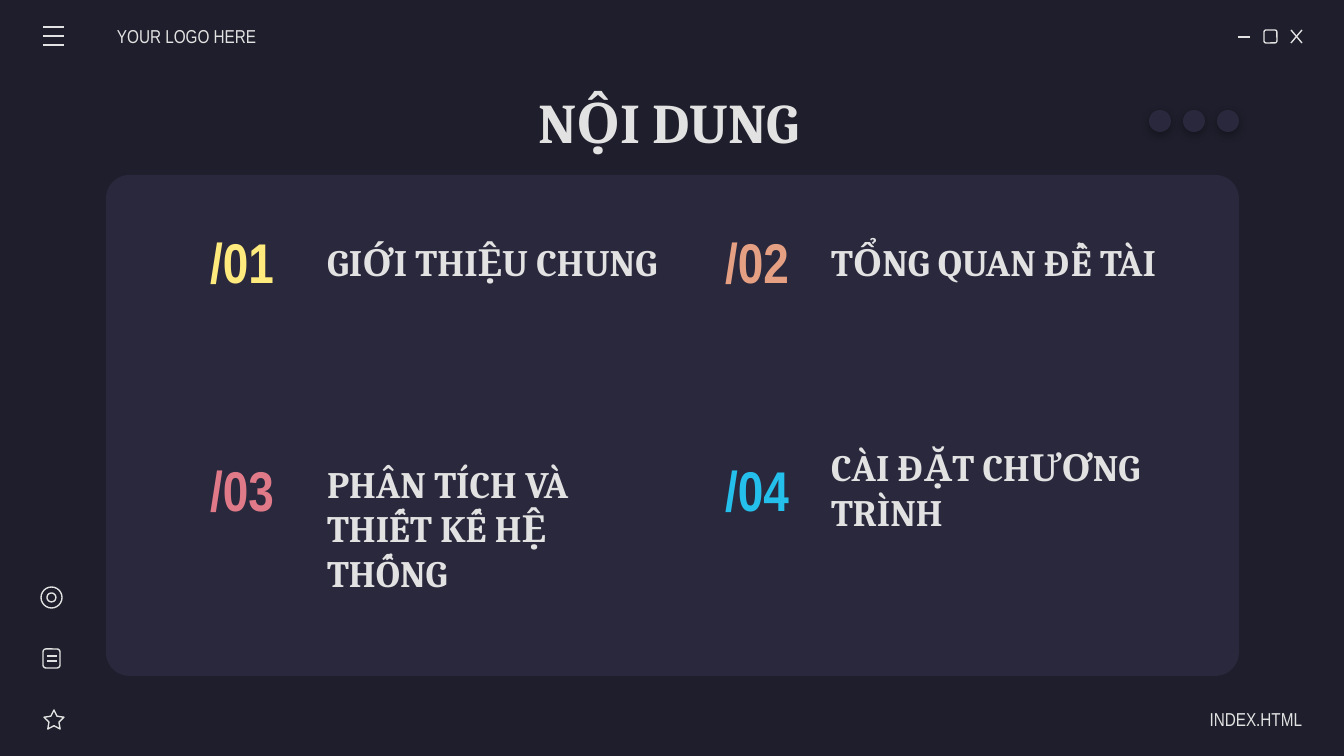
from dataclasses import dataclass

import pptx
import pptx.dml.color
import pptx.enum.shapes
import pptx.enum.text
import pptx.oxml
import pptx.oxml.ns
import pptx.util

SHAPE = pptx.enum.shapes.MSO_SHAPE
ALIGN = pptx.enum.text.PP_ALIGN
PX_PER_INCH = 134.4


def px(length):
    return pptx.util.Emu(round(length * 914400 / PX_PER_INCH))


@dataclass(frozen=True)
class Theme:
    background: str = "1E1E2C"
    surface: str = "29283D"
    ink: str = "E2E2E2"
    accents: tuple = ("FFEA7D", "E5A083", "E07A88", "24BFEB")
    heading_font: str = "Cambria"
    label_font: str = "Arial Narrow"
    title_size: int = 30
    item_size: int = 20
    label_size: int = 10
    stroke: float = 0.75


class Canvas:
    """Draws elements on one slide in one theme."""

    def __init__(self, slide, theme):
        self.slide = slide
        self.theme = theme
        slide.background.fill.solid()
        slide.background.fill.fore_color.rgb = self.rgb(theme.background)

    @staticmethod
    def rgb(value):
        return pptx.dml.color.RGBColor.from_string(value)

    def set_text(self, holder, text, font, size, color, bold=False,
                 align=ALIGN.LEFT, insets=(13, 13)):
        """Fill a text holder with one paragraph; insets are left and right."""
        frame = holder.text_frame
        frame.text = text
        frame.word_wrap = True
        frame.auto_size = pptx.enum.text.MSO_AUTO_SIZE.NONE
        frame.vertical_anchor = pptx.enum.text.MSO_ANCHOR.MIDDLE
        frame.margin_left, frame.margin_right = map(px, insets)
        frame.margin_top = frame.margin_bottom = px(13)
        paragraph = frame.paragraphs[0]
        paragraph.alignment = align
        paragraph.space_before = pptx.util.Pt(0)
        run_font = paragraph.runs[0].font
        run_font.name = font
        run_font.size = pptx.util.Pt(size)
        run_font.bold = bold
        run_font.color.rgb = self.rgb(color)
        return paragraph

    def placeholder(self, index, box, text, size, **style):
        holder = self.slide.placeholders[index]
        holder.left, holder.top, holder.width, holder.height = map(px, box)
        paragraph = self.set_text(holder, text, self.theme.heading_font, size,
                                  self.theme.ink, bold=True, **style)
        properties = paragraph._p.get_or_add_pPr()
        properties.set("marL", "0")
        properties.set("indent", "0")
        properties.append(pptx.oxml.parse_xml(
            f"<a:buNone {pptx.oxml.ns.nsdecls('a')}/>"))

    def label(self, box, text, size, color, **style):
        holder = self.slide.shapes.add_textbox(*map(px, box))
        self.set_text(holder, text, self.theme.label_font, size, color, **style)

    def filled(self, kind, box):
        shape = self.slide.shapes.add_shape(kind, *map(px, box))
        shape.shadow.inherit = False
        shape.fill.solid()
        shape.fill.fore_color.rgb = self.rgb(self.theme.surface)
        shape.line.fill.background()
        return shape

    def panel(self, box, rounding):
        shape = self.filled(SHAPE.ROUNDED_RECTANGLE, box)
        shape.adjustments[0] = rounding
        # The panel lies behind the placeholders.
        shape.element.getparent().insert(2, shape.element)

    def dot(self, box):
        """Draw a circle with a soft shadow below it."""
        effects = self.filled(SHAPE.OVAL, box).element.spPr.find(
            pptx.oxml.ns.qn("a:effectLst"))
        effects.append(pptx.oxml.parse_xml(
            f'<a:outerShdw {pptx.oxml.ns.nsdecls("a")} blurRad="57150" '
            'dist="19050" dir="5400000" algn="bl" rotWithShape="0">'
            '<a:srgbClr val="000000"><a:alpha val="30000"/></a:srgbClr>'
            '</a:outerShdw>'))

    def stroke(self, shape):
        shape.line.color.rgb = self.rgb(self.theme.ink)
        shape.line.width = pptx.util.Pt(self.theme.stroke)

    def outline(self, kind, box, *adjustments):
        shape = self.slide.shapes.add_shape(kind, *map(px, box))
        shape.shadow.inherit = False
        shape.fill.background()
        self.stroke(shape)
        for position, value in enumerate(adjustments):
            shape.adjustments[position] = value

    def line(self, *ends):
        """Draw a straight line; ends are x1, y1, x2, y2."""
        connector = self.slide.shapes.add_connector(
            pptx.enum.shapes.MSO_CONNECTOR.STRAIGHT, *map(px, ends))
        self.stroke(connector)
        connector.element.spPr.append(pptx.oxml.parse_xml(
            f"<a:effectLst {pptx.oxml.ns.nsdecls('a')}/>"))


def draw_agenda(canvas):
    theme = canvas.theme
    canvas.panel((106, 175, 1133, 501), 0.047)
    canvas.placeholder(0, (106, 79, 1133, 85), "NỘI DUNG", theme.title_size,
                       align=ALIGN.CENTER, insets=(13, 20))
    columns = ((181, 314), (696, 818))
    rows = (224, 452)
    topics = (("GIỚI THIỆU CHUNG", 358, 75),
              ("TỔNG QUAN ĐỀ TÀI", 364, 75),
              ("PHÂN TÍCH VÀ THIẾT KẾ HỆ THỐNG", 344, 152),
              ("CÀI ĐẶT CHƯƠNG TRÌNH", 344, 75))
    for index, (topic, width, height) in enumerate(topics):
        number_left, topic_left = columns[index % 2]
        top = rows[index // 2]
        canvas.placeholder(index + 1, (topic_left, top, width, height), topic,
                           theme.item_size)
        canvas.label((number_left, top, 122, 75), f"/{index + 1:02}",
                     theme.title_size, theme.accents[index], bold=True,
                     align=ALIGN.CENTER)


def draw_window_frame(canvas):
    theme = canvas.theme
    canvas.label((117, 16, 157, 40), "YOUR LOGO HERE", theme.label_size,
                 theme.ink, insets=(0, 13))
    canvas.label((1145, 699, 157, 40), "INDEX.HTML", theme.label_size,
                 theme.ink, align=ALIGN.RIGHT, insets=(13, 0))
    for index in range(3):
        menu_y = 27 + 9 * index
        canvas.line(43, menu_y, 64, menu_y)
        canvas.dot((1149 + 34 * index, 110, 22, 22))

    # Minimise, maximise and close
    canvas.line(1238, 37, 1250, 37)
    canvas.outline(SHAPE.ROUNDED_RECTANGLE, (1264, 30, 13, 13), 0.167)
    canvas.line(1291, 30, 1302, 43)
    canvas.line(1302, 30, 1291, 43)


def draw_side_icons(canvas):
    canvas.outline(SHAPE.OVAL, (41, 587, 21, 21))
    canvas.outline(SHAPE.OVAL, (47, 593, 9, 9))
    canvas.outline(SHAPE.ROUNDED_RECTANGLE, (43, 649, 17, 19), 0.167)
    for text_y in (656, 661):
        canvas.line(47, text_y, 57, text_y)
    canvas.outline(SHAPE.STAR_5_POINT, (44, 710, 20, 19), 0.25, 1.05, 1.11)


def main():
    deck = pptx.Presentation()
    deck.slide_width, deck.slide_height = px(1344), px(756)
    comparison_layout = deck.slide_layouts[4]
    canvas = Canvas(deck.slides.add_slide(comparison_layout), Theme())
    draw_agenda(canvas)
    draw_window_frame(canvas)
    draw_side_icons(canvas)
    deck.save("out.pptx")


if __name__ == "__main__":
    main()
